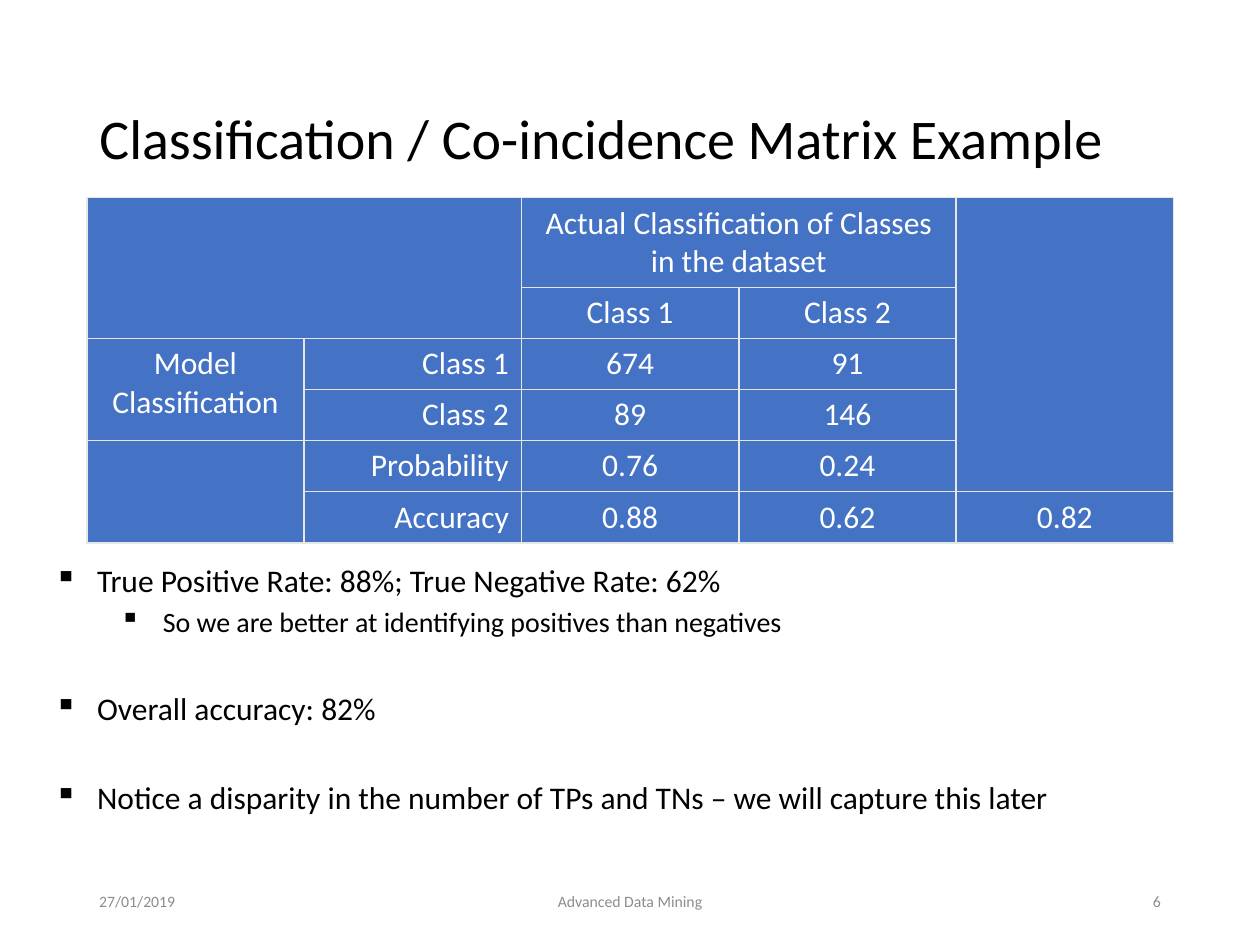
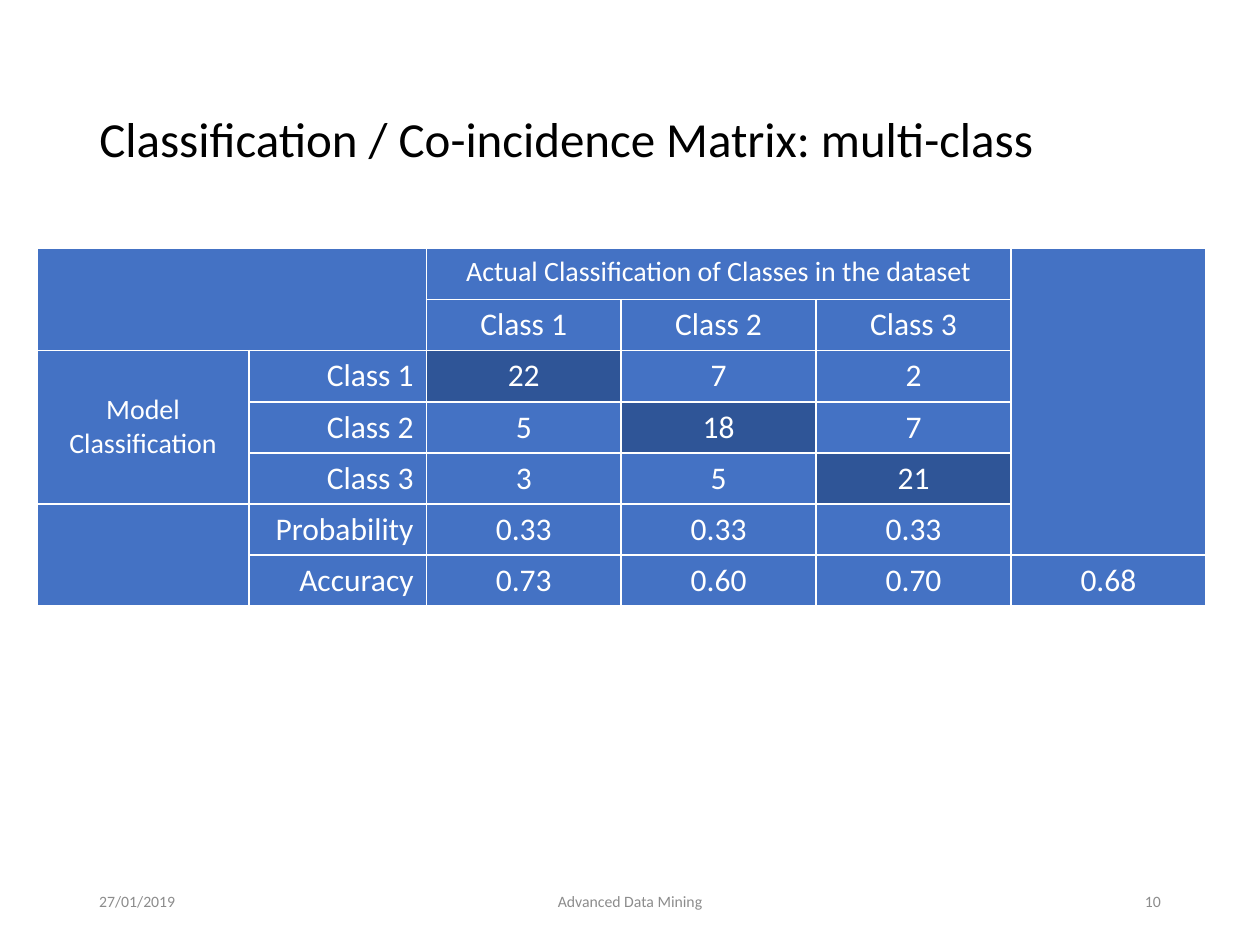
from lxml import etree
from pptx import Presentation
from pptx.dml.color import RGBColor
from pptx.enum.text import MSO_ANCHOR, MSO_AUTO_SIZE, PP_ALIGN
from pptx.oxml.ns import qn
from pptx.util import Pt

# Shared style
FONT = "Calibri"
BLACK, WHITE, GREY = "000000", "FFFFFF", "8C8C8C"
BLUE, DARK_BLUE, PALE_GREY = "4472C4", "2F5597", "E7E6E6"
LEFT, CENTER, RIGHT = PP_ALIGN.LEFT, PP_ALIGN.CENTER, PP_ALIGN.RIGHT
ROW_HEIGHT = 29.2
HEADING = "Actual Classification of Classes in the dataset"


def color(hex_string):
    return RGBColor.from_string(hex_string)


def write(paragraph, text, size=18, fill=BLACK, align=LEFT, before=0):
    paragraph.alignment = align
    paragraph.space_before = Pt(before)
    run = paragraph.add_run()
    run.text = text
    run.font.name = FONT
    run.font.size = Pt(size)
    run.font.color.rgb = color(fill)


# Slide contents; values hold one row per model class
slides = [
    {"title": "Classification / Co-incidence Matrix Example", "title_size": 32,
     "number": "6", "left": 49.6, "top": 113, "columns": [124.2] * 5,
     "heading_height": 51.2, "label_size": 18, "label_anchor": MSO_ANCHOR.TOP,
     "border": PALE_GREY, "diagonal": BLUE,
     "values": [["674", "91"], ["89", "146"]],
     "probability": ["0.76", "0.24"],
     "accuracy": ["0.88", "0.62", "0.82"],
     "bullets": [
         ("True Positive Rate: 88%; True Negative Rate: 62%", 0, 0),
         ("So we are better at identifying positives than negatives", 1, 3.2),
         ("Overall accuracy: 82%", 0, 29.2),
         ("Notice a disparity in the number of TPs and TNs – we will capture this later",
          0, 29.2)]},
    {"title": "Classification / Co-incidence Matrix: multi-class", "title_size": 28,
     "number": "10", "left": 21, "top": 142, "columns": [121.4, 101.2] + [111.4] * 4,
     "heading_height": ROW_HEIGHT, "label_size": 16, "label_anchor": MSO_ANCHOR.MIDDLE,
     "border": WHITE, "diagonal": DARK_BLUE,
     "values": [["22", "7", "2"], ["5", "18", "7"], ["3", "5", "21"]],
     "probability": ["0.33", "0.33", "0.33"],
     "accuracy": ["0.73", "0.60", "0.70", "0.68"],
     "bullets": []},
]

presentation = Presentation()
presentation.slide_width = Pt(720)
presentation.slide_height = Pt(540)

for content in slides:
    slide = presentation.slides.add_slide(presentation.slide_layouts[5])

    # Title
    title = slide.shapes.title
    title.left, title.top, title.width, title.height = Pt(49.6), Pt(28.8), Pt(620.8), Pt(104.4)
    title.text_frame.auto_size = MSO_AUTO_SIZE.NONE
    title.text_frame.vertical_anchor = MSO_ANCHOR.MIDDLE
    paragraph = title.text_frame.paragraphs[0]
    paragraph.line_spacing = 0.9
    write(paragraph, content["title"], size=content["title_size"])

    # Footer: date, course and slide number
    for text, left, width, align in [("27/01/2019", 49.6, 162, LEFT),
                                     ("Advanced Data Mining", 238.4, 243.2, CENTER),
                                     (content["number"], 508.4, 162, RIGHT)]:
        footer = slide.shapes.add_textbox(Pt(left), Pt(500.4), Pt(width), Pt(28.8))
        footer.text_frame.word_wrap = True
        footer.text_frame.vertical_anchor = MSO_ANCHOR.MIDDLE
        write(footer.text_frame.paragraphs[0], text, size=9, fill=GREY, align=align)

    # Matrix texts, row by row
    values = content["values"]
    count = len(values)
    classes = [f"Class {index + 1}" for index in range(count)]
    rows = [["", "", HEADING], ["", ""] + classes]
    rows += [["", name] + numbers for name, numbers in zip(classes, values)]
    rows += [["", "Probability"] + content["probability"],
             ["", "Accuracy"] + content["accuracy"]]
    rows[2][0] = "Model Classification"

    # Matrix grid
    columns = content["columns"]
    heights = [content["heading_height"]] + [ROW_HEIGHT] * (count + 3)
    table = slide.shapes.add_table(len(rows), len(columns), Pt(content["left"]),
                                   Pt(content["top"]), Pt(sum(columns)),
                                   Pt(sum(heights))).table
    table.first_row = False
    table.horz_banding = False
    for column, width in zip(table.columns, columns):
        column.width = Pt(width)
    for row, height in zip(table.rows, heights):
        row.height = Pt(height)

    # Matrix cells
    for row_index in range(len(rows)):
        for column_index in range(len(columns)):
            cell = table.cell(row_index, column_index)
            properties = cell._tc.get_or_add_tcPr()
            for side in ("a:lnL", "a:lnR", "a:lnT", "a:lnB"):
                line = etree.SubElement(properties, qn(side), w=str(Pt(1)))
                line_fill = etree.SubElement(line, qn("a:solidFill"))
                etree.SubElement(line_fill, qn("a:srgbClr"), val=content["border"])
            on_diagonal = row_index == column_index and 2 <= row_index < count + 2
            cell.fill.solid()
            cell.fill.fore_color.rgb = color(content["diagonal"] if on_diagonal else BLUE)
            texts = rows[row_index]
            if column_index < len(texts) and texts[column_index]:
                text = texts[column_index]
                is_label = text in (HEADING, "Model Classification")
                write(cell.text_frame.paragraphs[0], text, fill=WHITE,
                      size=content["label_size"] if is_label else 18,
                      align=RIGHT if column_index == 1 else CENTER)
    table.cell(2, 0).vertical_anchor = content["label_anchor"]

    # Merged areas: corner, heading, right blank, model label, lower blank
    for first, last in [((0, 0), (1, 1)),
                        ((0, 2), (0, count + 1)),
                        ((0, count + 2), (count + 2, count + 2)),
                        ((2, 0), (count + 1, 0)),
                        ((count + 2, 0), (count + 3, 0))]:
        table.cell(*first).merge(table.cell(*last))

    # Bullets below the matrix
    if content["bullets"]:
        frame = slide.shapes.add_textbox(Pt(31), Pt(320.5), Pt(658), Pt(160)).text_frame
        frame.word_wrap = True
        frame.margin_left = frame.margin_top = frame.margin_right = frame.margin_bottom = 0
        for index, (text, level, before) in enumerate(content["bullets"]):
            paragraph = frame.add_paragraph() if index else frame.paragraphs[0]
            paragraph.level = level
            write(paragraph, text, size=18 - 2 * level, before=before)
            properties = paragraph._p.get_or_add_pPr()
            properties.set("marL", str(Pt(24.5 + 37.5 * level)))
            properties.set("indent", str(Pt(-24.5)))
            etree.SubElement(properties, qn("a:buChar"), char="▪")

presentation.save("out.pptx")
